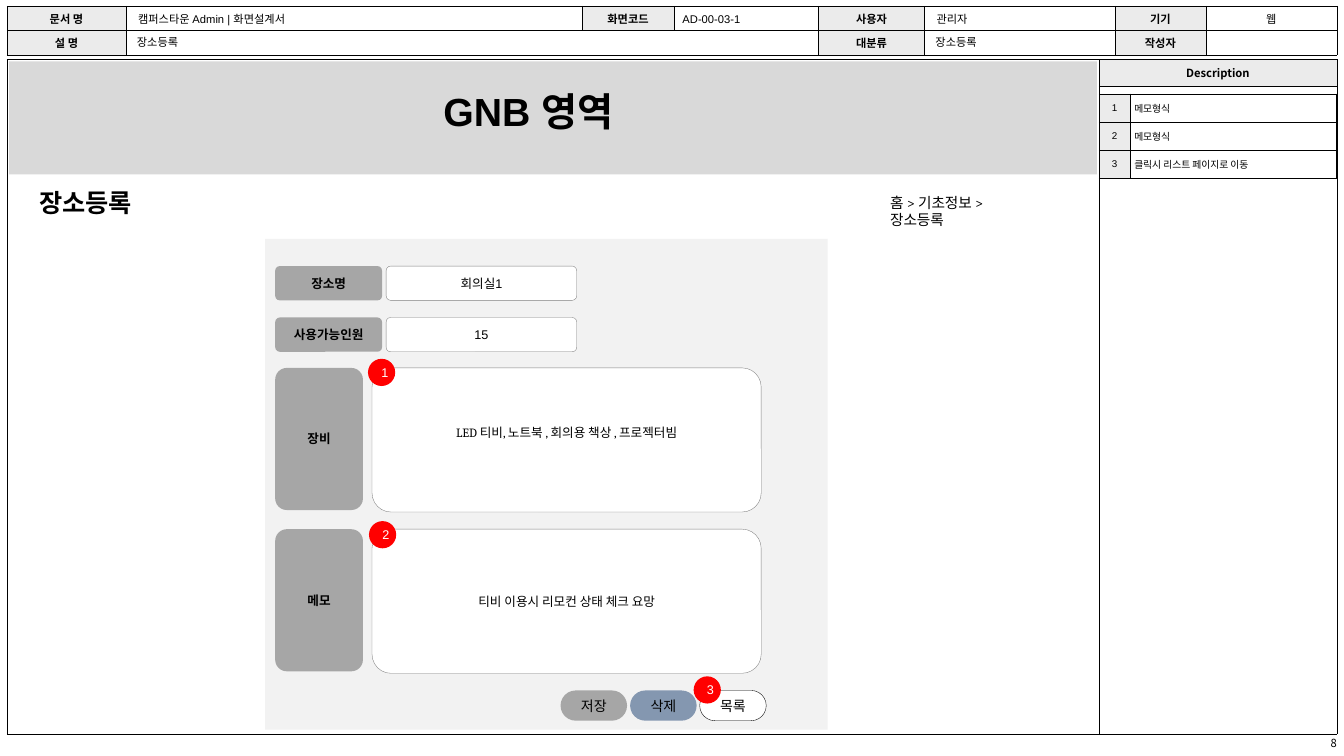
from dataclasses import dataclass

from lxml.etree import SubElement
from pptx import Presentation
from pptx.dml.color import RGBColor
from pptx.enum.shapes import MSO_SHAPE
from pptx.enum.text import MSO_ANCHOR, PP_ALIGN
from pptx.oxml.ns import qn
from pptx.util import Inches, Pt

KOREAN = "Noto Sans CJK KR"
BLACK, WHITE, RED = "000000", "FFFFFF", "FF0000"
LABEL, GREY, OUTLINE = "EBEBEB", "A6A6A6", "808080"
BOX_INSETS = (0.1, 0.05, 0.1, 0.05)
BUTTON_INSETS = (0.04, 0.04, 0.04, 0.04)
LEFT, CENTER, RIGHT = PP_ALIGN.LEFT, PP_ALIGN.CENTER, PP_ALIGN.RIGHT


@dataclass
class Cell:
    text: str = ""
    fill: str = WHITE
    bold: bool = False
    font: str = "Arial"
    size: float = 8
    align: PP_ALIGN = LEFT
    insets: tuple = (0.12, 0.01, 0.01, 0.01)


@dataclass
class Block:
    text: str
    left: float
    top: float
    width: float
    height: float
    fill: str
    line: str = ""
    shape: MSO_SHAPE = MSO_SHAPE.ROUNDED_RECTANGLE
    radius: float = 0.132
    size: float = 9
    bold: bool = False
    font: str = "Arial"
    color: str = BLACK
    insets: tuple = BOX_INSETS


@dataclass
class Note:
    text: str
    left: float
    top: float
    width: float
    height: float
    size: float = 8
    bold: bool = False
    font: str = "Arial"
    align: PP_ALIGN = LEFT
    insets: tuple = BOX_INSETS
    wrap: bool = True


def rgb(color: str) -> RGBColor:
    return RGBColor.from_string(color)


def write(frame, text: str, *, size: float = 8, font: str = "Arial", bold: bool = False,
          color: str = BLACK, align: PP_ALIGN = LEFT) -> None:
    paragraph = frame.paragraphs[0]
    paragraph.alignment = align
    if not text:
        SubElement(paragraph._p, qn("a:endParaRPr"), sz=str(int(size * 100)))
        return
    run = paragraph.add_run()
    run.text = text
    run.font.size, run.font.bold, run.font.name = Pt(size), bold, font
    run.font.color.rgb = rgb(color)
    SubElement(run._r.get_or_add_rPr(), qn("a:ea"), typeface=KOREAN)


def set_insets(target, insets: tuple) -> None:
    (target.margin_left, target.margin_top,
     target.margin_right, target.margin_bottom) = map(Inches, insets)


def add_border(cell) -> None:
    properties = cell._tc.get_or_add_tcPr()
    for side in ("lnL", "lnR", "lnT", "lnB"):
        edge = SubElement(properties, qn(f"a:{side}"), w=str(Pt(0.25)))
        SubElement(SubElement(edge, qn("a:solidFill")), qn("a:srgbClr"), val=BLACK)


def draw_grid(slide, left: float, top: float, columns: list[float], heights: list[float],
              rows: list[list[Cell]], merge: tuple = ()) -> None:
    grid = slide.shapes.add_table(len(rows), len(columns), Inches(left), Inches(top),
                                  Inches(sum(columns)), Inches(sum(heights))).table
    grid.first_row = grid.horz_banding = False
    for column, width in zip(grid.columns, columns):
        column.width = Inches(width)
    for row, height, contents in zip(grid.rows, heights, rows):
        row.height = Inches(height)
        for cell, content in zip(row.cells, contents):
            add_border(cell)
            cell.fill.solid()
            cell.fill.fore_color.rgb = rgb(content.fill)
            cell.vertical_anchor = MSO_ANCHOR.MIDDLE
            set_insets(cell, content.insets)
            write(cell.text_frame, content.text, size=content.size, font=content.font,
                  bold=content.bold, align=content.align)
    if merge:
        start, end = merge
        grid.cell(*start).merge(grid.cell(*end))


def draw_block(slide, block: Block) -> None:
    shape = slide.shapes.add_shape(block.shape, Inches(block.left), Inches(block.top),
                                   Inches(block.width), Inches(block.height))
    shape.shadow.inherit = False
    shape.fill.solid()
    shape.fill.fore_color.rgb = rgb(block.fill)
    if block.line:
        shape.line.color.rgb = rgb(block.line)
        shape.line.width = Pt(0.25)
    else:
        shape.line.fill.background()
    if block.shape == MSO_SHAPE.ROUNDED_RECTANGLE:
        shape.adjustments[0] = block.radius
    frame = shape.text_frame
    frame.word_wrap = True
    frame.vertical_anchor = MSO_ANCHOR.MIDDLE
    set_insets(frame, block.insets)
    write(frame, block.text, size=block.size, font=block.font, bold=block.bold,
          color=block.color, align=CENTER)


def draw_note(slide, note: Note) -> None:
    frame = slide.shapes.add_textbox(Inches(note.left), Inches(note.top),
                                     Inches(note.width), Inches(note.height)).text_frame
    frame.word_wrap = note.wrap
    set_insets(frame, note.insets)
    write(frame, note.text, size=note.size, font=note.font, bold=note.bold, align=note.align)


def heading(text: str) -> Cell:
    return Cell(text, LABEL, True, KOREAN, align=CENTER, insets=BUTTON_INSETS)


def field(label: str, value: str, top: float) -> list[Block]:
    return [Block(label, 2.73, top, 1.06, 0.34, GREY, bold=True),
            Block(value, 3.83, top, 1.89, 0.34, WHITE, OUTLINE)]


def memo(label: str, value: str, top: float, font: str = "Arial",
         insets: tuple = BOX_INSETS) -> list[Block]:
    return [Block(label, 2.73, top, 0.87, 1.41, GREY, bold=True),
            Block(value, 3.69, top, 3.86, 1.43, WHITE, OUTLINE, font=font, insets=insets)]


def button(text: str, position: int, fill: str, line: str = "") -> Block:
    return Block(text, 5.56 + 0.69 * position, 6.85, 0.66, 0.3, fill, line,
                 radius=0.5, size=10, insets=BUTTON_INSETS)


def marker(number: int, left: float, top: float) -> Block:
    return Block(str(number), left, top, 0.27, 0.27, RED, shape=MSO_SHAPE.OVAL, color=WHITE)


def description(number: int, text: str) -> list[Cell]:
    return [Cell(str(number), LABEL, size=7, align=CENTER, insets=(0.01,) * 4),
            Cell(text, size=7, insets=(0.04, 0.01, 0.04, 0.01))]


HEADER = [
    [heading("문서 명"), Cell("캠퍼스타운 Admin | 화면설계서"), heading("화면코드"), Cell(),
     heading("사용자"), Cell("관리자"), heading("기기"),
     Cell("웹", align=CENTER, insets=(0.01,) * 4)],
    [heading("설 명"), Cell(), Cell(), Cell(),
     heading("대분류"), Cell(), heading("작성자"), Cell()],
]
DESCRIPTIONS = ["메모형식", "메모형식", "클릭시 리스트 페이지로 이동"]
BLOCKS = [
    Block("", 0.09, 0.61, 10.79, 1.12, "D9D9D9", shape=MSO_SHAPE.RECTANGLE),
    Block("", 2.63, 2.37, 5.58, 4.87, "F2F2F2", shape=MSO_SHAPE.RECTANGLE),
    *field("장소명", "회의실1", 2.64),
    *field("사용가능인원", "15", 3.15),
    *memo("장비", "LED 티비, 노트북 , 회의용 책상 , 프로젝터빔", 3.65, "Cambria",
          (0.1, 0.05, 0.1, 0.2)),
    *memo("메모", "티비 이용시 리모컨 상태 체크 요망", 5.25),
    button("저장", 0, GREY),
    button("삭제", 1, "8497B0"),
    button("목록", 2, WHITE, BLACK),
    marker(1, 3.65, 3.56),
    marker(2, 3.66, 5.17),
    marker(3, 6.88, 6.71),
]
NOTES = [
    Note("8", 10.9, 7.26, 2.36, 0.24, font=KOREAN, align=RIGHT, insets=(0.1, 0.05, 0, 0.05)),
    Note("장소등록", 1.26, 0.3, 6.83, 0.23),
    Note("장소등록", 9.18, 0.3, 0.65, 0.24, wrap=False),
    Note("AD-00-03-1", 6.67, 0.07, 1.43, 0.23),
    Note("GNB 영역", 4.3, 0.82, 2.39, 0.57, size=28, bold=True),
    Note("장소등록", 0.29, 1.81, 1.24, 0.4, size=18, bold=True, font="Cambria"),
    Note("홈 > 기초정보 > 장소등록", 8.73, 1.87, 1.88, 0.28, size=10.5, font="Cambria",
         insets=(0.1, 0.05, 0.4, 0.05)),
]


def main() -> None:
    deck = Presentation()
    deck.slide_width, deck.slide_height = Inches(13.33), Inches(7.5)
    slide = deck.slides.add_slide(deck.slide_layouts[6])
    draw_grid(slide, 0.07, 0.06, [1.18, 4.52, 0.92, 1.43, 1.05, 1.89, 0.9, 1.3],
              [0.24, 0.24], HEADER, ((1, 1), (1, 3)))
    draw_grid(slide, 0.07, 0.59, [10.83, 2.36], [0.26, 6.43],
              [[Cell(), heading("Description")], [Cell(), Cell()]], ((0, 0), (1, 0)))
    draw_grid(slide, 10.9, 0.93, [0.31, 2.04], [0.28] * len(DESCRIPTIONS),
              [description(number, text) for number, text in enumerate(DESCRIPTIONS, 1)])
    for block in BLOCKS:
        draw_block(slide, block)
    for note in NOTES:
        draw_note(slide, note)
    deck.save("out.pptx")


if __name__ == "__main__":
    main()
